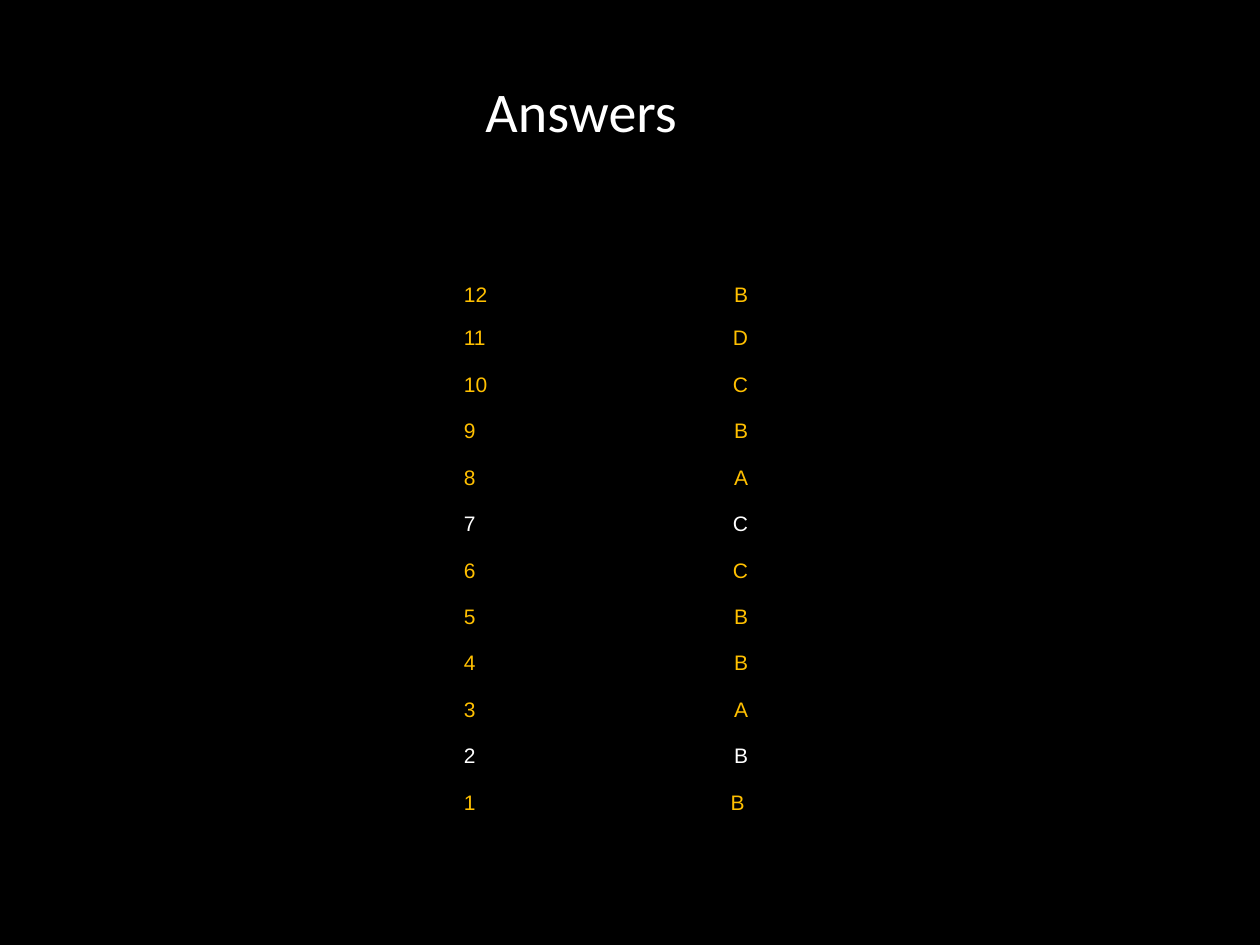
from pptx import Presentation
from pptx import util as u
from pptx.dml import color
from pptx.enum import text
from pptx.oxml import ns

BLACK, WHITE, GOLD = "000000", "FFFFFF", "FFC000"
NO_STYLE_NO_GRID = "{2D5ABB26-0587-4C30-8999-92F81FD0307C}"

PAGE_WIDTH, PAGE_HEIGHT = u.Pt(720), u.Pt(540)
ANSWERS = "BBABBCCABCDB"  # letters for questions 1 to 12
WHITE_QUESTIONS = {2, 7}
COLUMN_WIDTHS = (55.4, 109.6)
END_ROW, INNER_ROW = 24.6, 26.58
CELL_INSET = 2.6


def rgb(hex_code):
    return color.RGBColor.from_string(hex_code)


def write(frame, words, font, size, hex_code, align):
    para = frame.paragraphs[0]
    para.alignment = align
    span = para.add_run()
    span.text = words
    for name, value in {"name": font, "size": u.Pt(size)}.items():
        setattr(span.font, name, value)
    span.font.color.rgb = rgb(hex_code)


def add_backdrop(page):
    outline = page.shapes.build_freeform(0, PAGE_HEIGHT)
    outline.add_line_segments(
        [(PAGE_WIDTH, PAGE_HEIGHT), (PAGE_WIDTH, 0), (0, 0)], close=True)
    backdrop = outline.convert_to_shape()
    backdrop.shadow.inherit = False
    backdrop.fill.solid()
    backdrop.fill.fore_color.rgb = rgb(BLACK)
    backdrop.line.fill.background()


def add_title(page, words):
    box = page.shapes.add_textbox(u.Pt(224.2), u.Pt(11.8), u.Pt(216), u.Pt(102.2))
    frame = box.text_frame
    frame.word_wrap = True
    frame.vertical_anchor = text.MSO_ANCHOR.MIDDLE
    write(frame, words, "Calibri", 32, WHITE, text.PP_ALIGN.CENTER)


def fill_cell(cell, words, hex_code, align, left=0, right=0):
    margins = {"left": left, "right": right, "top": 0, "bottom": 0}
    for side, inset in margins.items():
        setattr(cell, f"margin_{side}", u.Pt(inset))
    cell.fill.solid()
    cell.fill.fore_color.rgb = rgb(BLACK)
    write(cell.text_frame, words, "Arial", 12, hex_code, align)


def add_answer_table(page):
    """Lists the questions from the last down to the first."""
    count = len(ANSWERS)
    heights = [END_ROW] + [INNER_ROW] * (count - 2) + [END_ROW]
    holder = page.shapes.add_table(
        count, len(COLUMN_WIDTHS), u.Pt(262.5), u.Pt(162),
        u.Pt(sum(COLUMN_WIDTHS)), u.Pt(sum(heights)))
    for style in holder.element.iter(ns.qn("a:tableStyleId")):
        style.text = NO_STYLE_NO_GRID
    table = holder.table
    table.first_row = table.horz_banding = False
    for column, width in zip(table.columns, COLUMN_WIDTHS):
        column.width = u.Pt(width)
    for index, height in enumerate(heights):
        table.rows[index].height = u.Pt(height)
        number = count - index
        hue = WHITE if number in WHITE_QUESTIONS else GOLD
        fill_cell(table.cell(index, 0), str(number), hue,
                  text.PP_ALIGN.LEFT, left=CELL_INSET)
        fill_cell(table.cell(index, 1), ANSWERS[number - 1], hue,
                  text.PP_ALIGN.RIGHT, right=2 if number == 1 else 0)


def main():
    deck = Presentation()
    deck.slide_width, deck.slide_height = PAGE_WIDTH, PAGE_HEIGHT
    page = deck.slides.add_slide(deck.slide_layouts[6])
    add_backdrop(page)
    add_answer_table(page)
    add_title(page, "Answers")
    deck.save("out.pptx")


if __name__ == "__main__":
    main()
